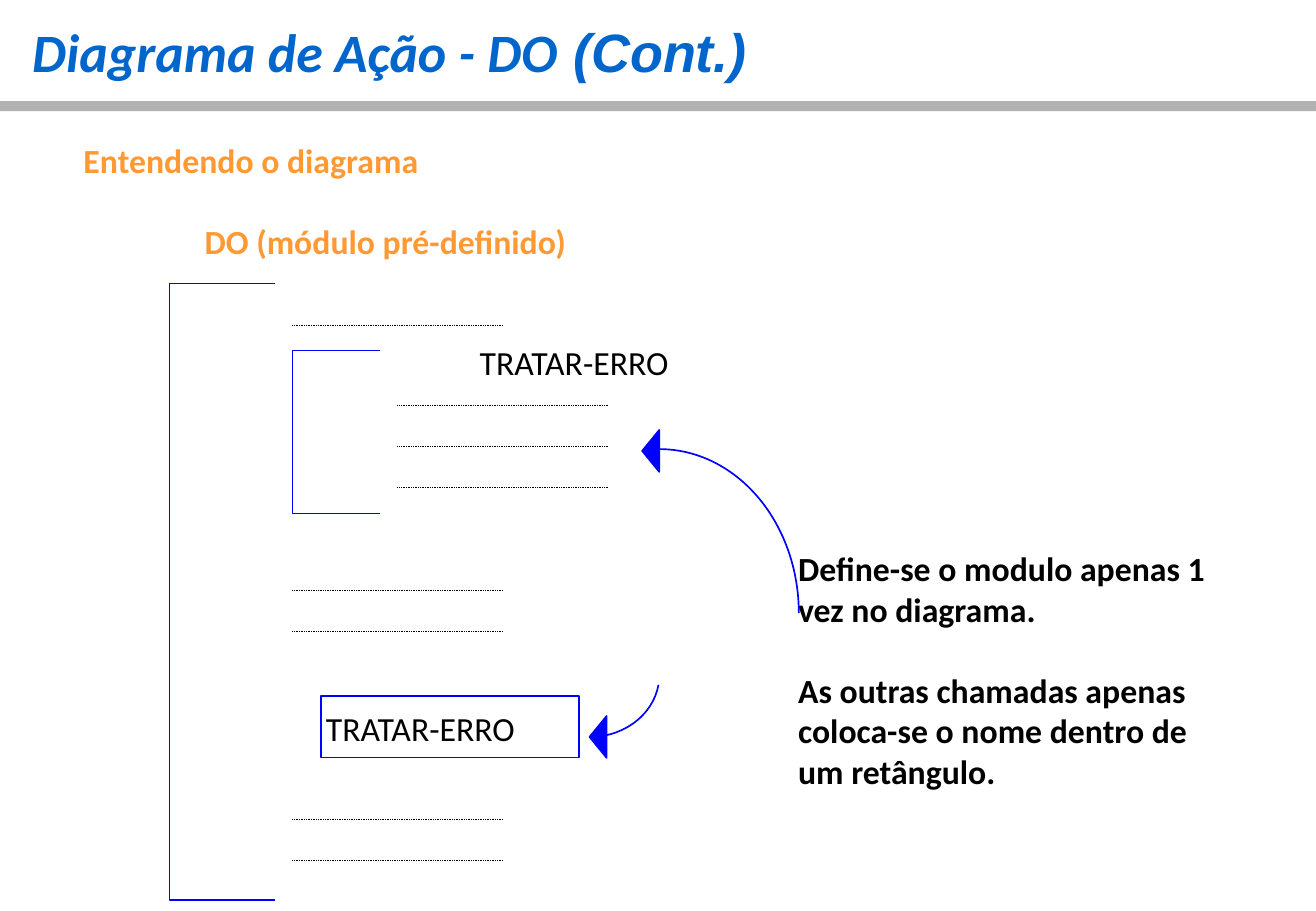
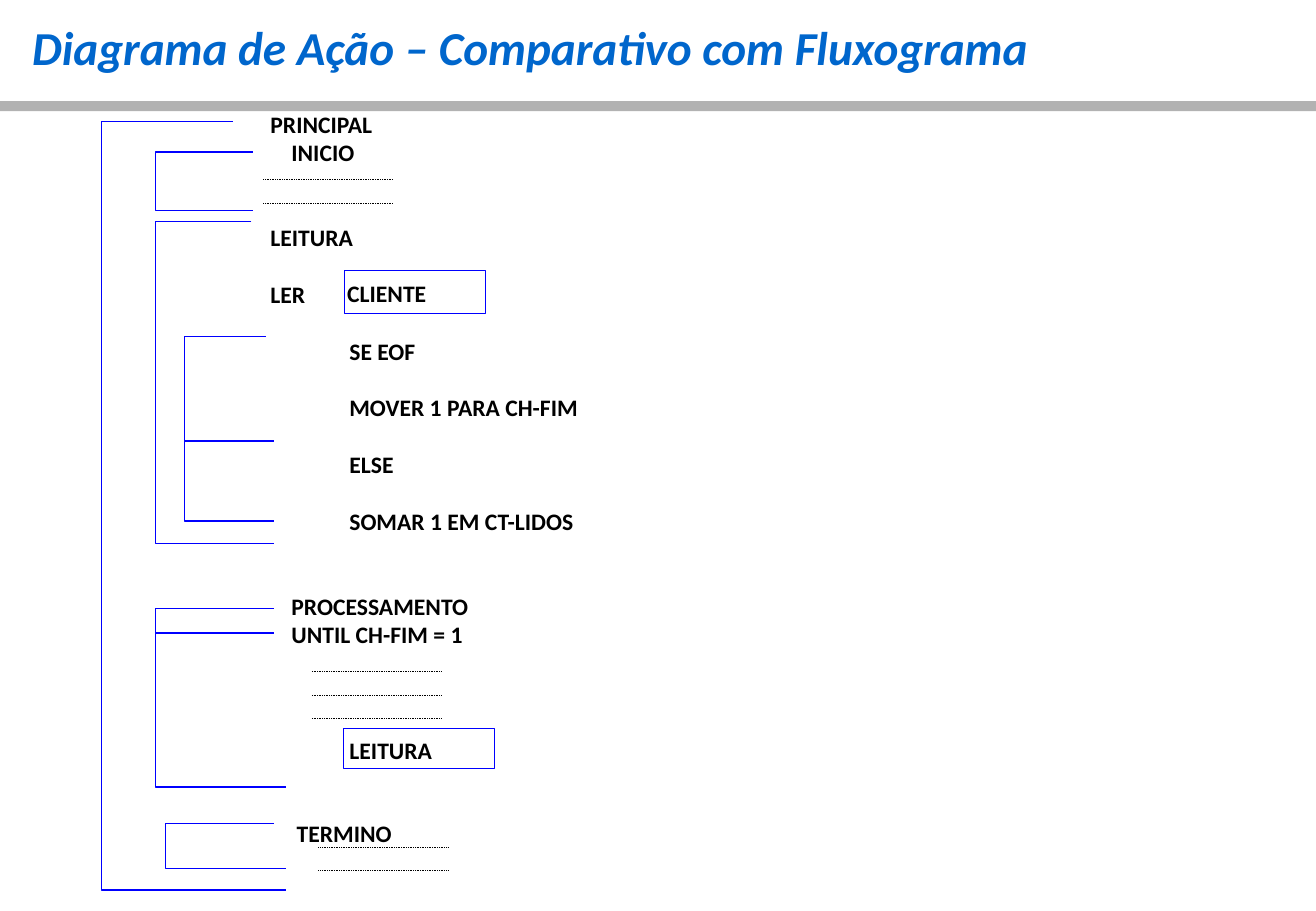
from lxml.etree import SubElement as Sub
from pptx import Presentation
from pptx.dml.color import RGBColor
from pptx.enum.dml import MSO_LINE as Dash
from pptx.enum.shapes import MSO_CONNECTOR as Conn, MSO_SHAPE as Kind
from pptx.enum.text import MSO_ANCHOR as Anchor, MSO_AUTO_SIZE as Auto, PP_ALIGN as Align
from pptx.oxml.ns import qn
from pptx.util import Inches, Pt

BLUE, BLACK, ORANGE = "0000FF", "000000", "FF9933"
HEAD, GRAY = "0066CC", "B2B2B2"
FACE = "Calibri"
LEAD = 1.2


def tint(code):
    return RGBColor.from_string(code)


class Deck:
    def __init__(self):
        self.prs = Presentation()
        self.prs.slide_width = Inches(10.84)
        self.prs.slide_height = Inches(7.5)
        self.slide = None

    def x(self, share):
        return round(self.prs.slide_width * share / 100)

    def y(self, share):
        return round(self.prs.slide_height * share / 100)

    def area(self, left, top, wide, high):
        return self.x(left), self.y(top), self.x(wide), self.y(high)

    def open(self, layout, title, size, tail=""):
        self.slide = self.prs.slides.add_slide(self.prs.slide_layouts[layout])
        self.shapes = self.slide.shapes
        frame = self.fit(self.shapes.title, 1.8, 1.1, 87, 9)
        par = frame.paragraphs[0]
        par.alignment = Align.LEFT
        self.font(par.font, size, HEAD)
        par.font.italic = True
        par.add_run().text = title
        if tail:
            run = par.add_run()
            run.text = tail
            run.font.name = "Arial"

    def font(self, font, size, color, bold=True):
        font.name, font.size, font.bold = FACE, Pt(size), bold
        font.color.rgb = tint(color)

    def fit(self, shape, *area):
        shape.left, shape.top, shape.width, shape.height = self.area(*area)
        frame = shape.text_frame
        frame.word_wrap = True
        frame.auto_size = Auto.NONE
        frame.vertical_anchor = Anchor.TOP
        frame.margin_left = frame.margin_right = Inches(0.07)
        frame.margin_top = frame.margin_bottom = Inches(0.07)
        return frame

    def body(self, index, area, size, lines):
        frame = self.fit(self.slide.placeholders[index], *area)
        last = -1
        for row, inset, text, color, bold in lines:
            par = frame.paragraphs[0] if last < 0 else frame.add_paragraph()
            par.alignment = Align.LEFT
            par.space_before = Pt((row - last - 1) * size * LEAD)
            props = par._p.get_or_add_pPr()
            props.set("marL", str(self.x(inset)))
            props.set("indent", "0")
            Sub(props, qn("a:buNone"))
            self.font(par.font, size, color, bold)
            par.add_run().text = text
            last = row

    def style(self, shape, fill=None, line=BLUE, width=0.75):
        shape.shadow.inherit = False
        if fill:
            shape.fill.solid()
            shape.fill.fore_color.rgb = tint(fill)
        else:
            shape.fill.background()
        if line:
            shape.line.color.rgb = tint(line)
            shape.line.width = Pt(width)
        else:
            shape.line.fill.background()

    def band(self):
        bar = self.shapes.add_shape(Kind.RECTANGLE, *self.area(0, 11.1, 100, 1.1))
        self.style(bar, GRAY, None)
        self.prs.slide_master.shapes.element.insert(2, bar.element)

    def box(self, area, text, size, bold, inset):
        shape = self.shapes.add_shape(Kind.RECTANGLE, *self.area(*area))
        self.style(shape)
        frame = self.fit(shape, *area)
        frame.vertical_anchor = Anchor.MIDDLE
        frame.margin_left, frame.margin_right = Inches(inset), 0
        frame.margin_top, frame.margin_bottom = Inches(0.02), 0
        par = frame.paragraphs[0]
        par.alignment = Align.LEFT
        self.font(par.font, size, BLACK, bold)
        par.add_run().text = text

    def trace(self, points, close=False):
        first, *rest = [(self.x(a), self.y(b)) for a, b in points]
        path = self.shapes.build_freeform(*first)
        path.add_line_segments(rest, close=close)
        return path.convert_to_shape()

    def brace(self, left, top, base, upper, lower):
        self.style(self.trace([(upper, top), (left, top), (left, base), (lower, base)]))

    def rule(self, left, right, top, color=BLUE, width=0.75):
        line = self.shapes.add_connector(
            Conn.STRAIGHT, self.x(left), self.y(top), self.x(right), self.y(top))
        line.line.color.rgb = tint(color)
        line.line.width = Pt(width)
        Sub(line.element.spPr, qn("a:effectLst"))
        return line

    def dots(self, left, top, count, wide, pitch):
        for row in range(count):
            line = self.rule(left, left + wide, top + row * pitch, BLACK, 0.5)
            line.line.dash_style = Dash.ROUND_DOT

    def arrow(self, hub, reach, span, tip):
        (mid, level), (wide, high), (left, top) = hub, reach, tip
        arc = self.shapes.add_shape(
            Kind.ARC, *self.area(mid - wide, level - high, 2 * wide, 2 * high))
        for spot, angle in enumerate(span):
            arc.adjustments[spot] = angle * 0.6
        self.style(arc, width=1)
        head = self.trace(
            [(left, top), (left + 1.3, top - 2.3), (left + 1.3, top + 2.3)], True)
        self.style(head, BLUE, width=1)


def module(deck):
    deck.open(3, "Diagrama de Ação - DO", 32, " (Cont.)")
    deck.band()
    deck.body(1, (5.7, 14.4, 68.9, 77.5), 20, [
        (0, 0, "Entendendo o diagrama", ORANGE, True),
        (2, 9.2, "DO (módulo pré-definido)", ORANGE, True),
        (5, 30.1, "TRATAR-ERRO", BLACK, False),
    ])
    deck.body(2, (60, 59.2, 33, 40.8), 20, [
        (0, 0, "Define-se o modulo apenas 1 vez no diagrama.", BLACK, True),
        (2, 0, "As outras chamadas apenas coloca-se o nome dentro de um retângulo.",
         BLACK, True),
    ])
    for left, top, count in [(22.2, 35.7, 1), (30.2, 44.5, 3), (22.2, 64.8, 2), (22.2, 89.9, 2)]:
        deck.dots(left, top, count, 16, 4.5)
    deck.brace(12.9, 31.1, 98.8, 20.9, 20.9)
    deck.brace(22.2, 38.5, 56.4, 28.9, 28.9)
    deck.box((24.4, 76.4, 19.6, 6.8), "TRATAR-ERRO", 20, False, 0.04)
    deck.arrow((50.1, 67.3), (10.6, 18), (270, 0), (48.8, 49.5))
    deck.arrow((44.8, 74.1), (5.3, 6.8), (8, 90), (44.8, 80.9))


def compare(deck):
    deck.open(1, "Diagrama de Ação – Comparativo com Fluxograma", 28)
    lines = [
        (0, 18.5, "PRINCIPAL"),
        (1, 20.1, "INICIO"),
        (4, 18.5, "LEITURA"),
        (6, 18.5, "LER"),
        (8, 24.5, "SE EOF"),
        (10, 24.5, "MOVER 1 PARA CH-FIM"),
        (12, 24.5, "ELSE"),
        (14, 24.5, "SOMAR 1 EM CT-LIDOS"),
        (17, 20.1, "PROCESSAMENTO"),
        (18, 20.1, "UNTIL CH-FIM = 1"),
        (25, 20.5, "TERMINO"),
    ]
    deck.body(1, (1.4, 11.1, 47, 85.9), 14, [(*line, BLACK, True) for line in lines])
    for left, top, count in [(20, 19.7, 2), (23.7, 73.7, 3), (24.2, 93, 2)]:
        deck.dots(left, top, count, 9.9, 2.6)
    deck.box((26.2, 29.7, 10.7, 4.7), "CLIENTE", 14, True, 0.02)
    deck.box((26.1, 80, 11.5, 4.4), "LEITURA", 14, True, 0.05)
    for brace in [
        (7.7, 13.3, 97.7, 17.7, 21.7),
        (11.8, 16.7, 23.1, 19.2, 19.2),
        (11.8, 24.3, 59.7, 19.1, 20.8),
        (14, 36.9, 57.2, 20.2, 20.8),
        (11.8, 66.8, 86.4, 20.8, 21.7),
        (12.6, 90.4, 95.3, 20.8, 21.7),
    ]:
        deck.brace(*brace)
    deck.rule(14, 20.8, 48.4)
    deck.rule(11.8, 20.8, 69.5)


def main():
    deck = Deck()
    module(deck)
    compare(deck)
    deck.prs.save("out.pptx")


if __name__ == "__main__":
    main()
